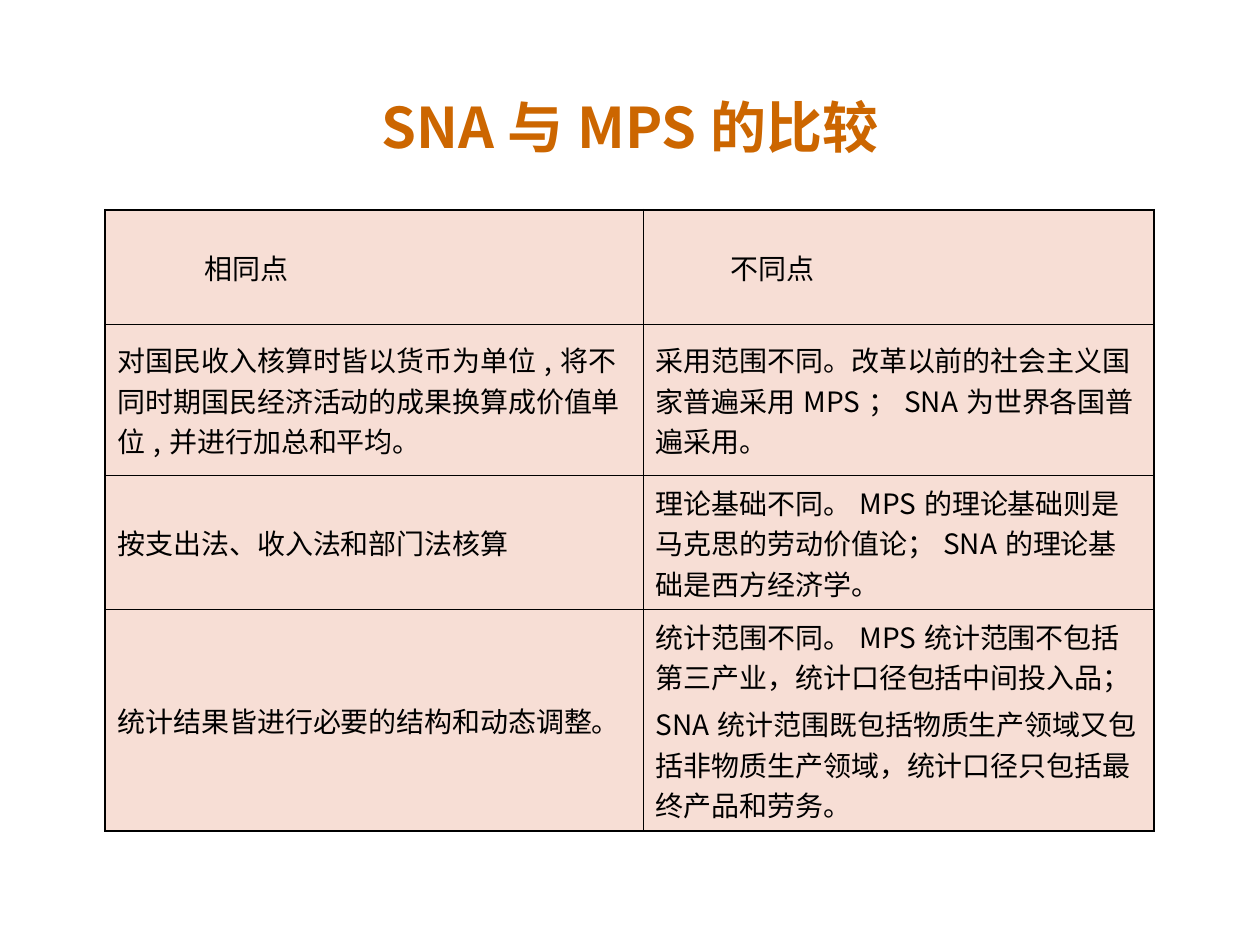
"""Build a slide comparing SNA and MPS in a two-column table."""
from lxml.etree import SubElement
from pptx import Presentation
from pptx.dml.color import RGBColor
from pptx.enum.text import MSO_ANCHOR, PP_ALIGN
from pptx.oxml.ns import qn
from pptx.util import Cm, Pt

THEME = {
    "font": "Noto Sans CJK SC",
    "alt_font": "Arial",
    "title": {"size": Pt(32), "bold": True},
    "title_color": "CC6600",
    "body": {"size": Pt(16), "bold": False},
    "body_color": "000000",
    "fill": "F1BFAD",
    "fill_alpha": 50,
    "border": "000000",
    "outer": 1.08,
    "inner": 0.45,
}
MAIN, ALT = THEME["font"], THEME["alt_font"]

TITLE = "SNA与MPS的比较"
HEADERS = ["相同点", "不同点"]
HEADER_INDENTS = [Cm(1.75), Cm(1.5)]
BODY = [
    ["对国民收入核算时皆以货币为单位,将不同时期国民经济活动的成果换算成价值单位,并进行加总和平均。",
     "采用范围不同。改革以前的社会主义国家普遍采用MPS；SNA为世界各国普遍采用。"],
    ["按支出法、收入法和部门法核算",
     "理论基础不同。MPS的理论基础则是马克思的劳动价值论；SNA的理论基础是西方经济学。"],
    ["统计结果皆进行必要的结构和动态调整。",
     [[("统计范围不同。MPS", MAIN),
       ("统计范围不包括第三产业，统计口径包括中间投入品；", ALT)],
      [("SNA", MAIN),
       ("统计范围既包括物质生产领域又包括非物质生产领域，统计口径只包括最终产品和劳务。", ALT)]]],
]
COL_WIDTHS = [Cm(10.85), Cm(10.29)]
ROW_HEIGHTS = [Cm(2.31), Cm(3.05), Cm(2.69), Cm(4.47)]


def add_run(p, text, style, color, font=MAIN):
    r = p.add_run()
    r.text = text
    for name, value in {**style, "name": font}.items():
        setattr(r.font, name, value)
    r.font.color.rgb = RGBColor.from_string(color)
    SubElement(r.font._element, qn("a:ea"), typeface=MAIN)


def write_cell(cell, content, indent):
    paragraphs = [[(content, MAIN)]] if isinstance(content, str) else content
    tf = cell.text_frame
    for i, runs in enumerate(paragraphs):
        p = tf.add_paragraph() if i else tf.paragraphs[0]
        if i:
            p.space_before = Pt(4)
        if indent:
            p._p.get_or_add_pPr().set("marL", str(indent))
        for text, font in runs:
            add_run(p, text, THEME["body"], THEME["body_color"], font)


def format_cell(cell, outer_sides):
    cell.vertical_anchor = MSO_ANCHOR.MIDDLE
    tcPr = cell._tc.get_or_add_tcPr()
    for side, is_outer in outer_sides.items():
        width = Pt(THEME["outer" if is_outer else "inner"])
        ln = SubElement(tcPr, qn(f"a:ln{side}"), w=str(width))
        SubElement(SubElement(ln, qn("a:solidFill")), qn("a:srgbClr"), val=THEME["border"])
    cell.fill.solid()
    cell.fill.fore_color.rgb = RGBColor.from_string(THEME["fill"])
    color = tcPr.find(f"{qn('a:solidFill')}/{qn('a:srgbClr')}")
    SubElement(color, qn("a:alpha"), val=str(THEME["fill_alpha"] * 1000))


def add_title(s):
    sp = s.shapes.title
    box = {"left": Cm(4.45), "top": Cm(1.7), "width": Cm(16.5), "height": Cm(1.7)}
    for name, value in box.items():
        setattr(sp, name, value)
    tf = sp.text_frame
    tf.word_wrap = True
    tf.vertical_anchor = MSO_ANCHOR.MIDDLE
    p = tf.paragraphs[0]
    p.alignment = PP_ALIGN.CENTER
    add_run(p, TITLE, THEME["title"], THEME["title_color"])


def add_comparison(s):
    rows = [HEADERS] + BODY
    n_rows, n_cols = len(rows), len(HEADERS)
    table = s.shapes.add_table(n_rows, n_cols, Cm(2.12), Cm(4.23),
                               sum(COL_WIDTHS), sum(ROW_HEIGHTS)).table
    table.first_row = table.horz_banding = False
    for col, width in zip(table.columns, COL_WIDTHS):
        col.width = width
    for row, height in zip(table.rows, ROW_HEIGHTS):
        row.height = height
    for i, row in enumerate(rows):
        for j, content in enumerate(row):
            cell = table.cell(i, j)
            write_cell(cell, content, 0 if i else HEADER_INDENTS[j])
            format_cell(cell, {"L": j == 0, "R": j == n_cols - 1,
                               "T": i == 0, "B": i == n_rows - 1})


def main():
    prs = Presentation()
    prs.slide_width, prs.slide_height = Cm(25.4), Cm(19.05)
    s = prs.slides.add_slide(prs.slide_layouts[5])
    add_title(s)
    add_comparison(s)
    prs.save("out.pptx")


if __name__ == "__main__":
    main()
